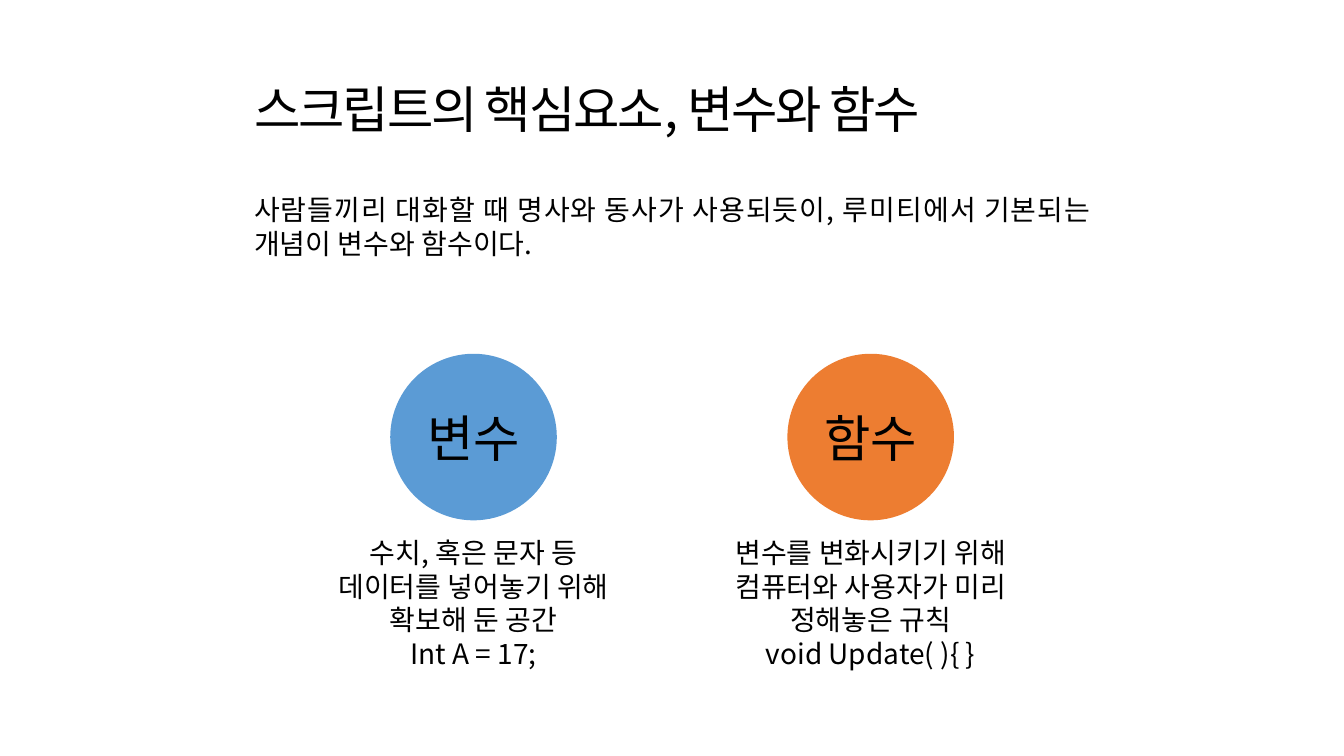
from dataclasses import dataclass

from lxml.etree import SubElement
from pptx import Presentation
from pptx.dml.color import RGBColor as RGB
from pptx.enum.shapes import MSO_SHAPE as Shape
from pptx.enum.text import MSO_ANCHOR as Anchor, PP_ALIGN as Align
from pptx.oxml.ns import qn
from pptx.util import Pt


@dataclass(frozen=True)
class Theme:
    font: str = "Noto Sans CJK KR"
    ink: RGB = RGB(0x00, 0x00, 0x00)
    blue: RGB = RGB(0x5B, 0x9B, 0xD5)
    orange: RGB = RGB(0xED, 0x7D, 0x31)
    heading: int = 36
    body: int = 20


THEME = Theme()


def write(tf, *lines, size=THEME.body, align=Align.LEFT, anchor=Anchor.TOP,
          leading=None, tracking=None, top=5):
    """Fill a text frame with one paragraph per line."""
    tf.word_wrap = True
    tf.vertical_anchor = anchor
    tf.margin_left = tf.margin_right = Pt(7.2)
    tf.margin_top, tf.margin_bottom = Pt(top), Pt(3.6)
    for i, line in enumerate(lines):
        p = tf.add_paragraph() if i else tf.paragraphs[0]
        p.alignment = align
        if leading:
            p.line_spacing = Pt(leading)
        r = p.add_run()
        r.text = line
        r.font.size, r.font.name = Pt(size), THEME.font
        r.font.color.rgb = THEME.ink
        rPr = r.font._element
        SubElement(rPr, qn("a:ea")).set("typeface", THEME.font)
        if tracking:
            rPr.set("spc", str(int(tracking * 100)))


def add_heading(s, x, y, w, h, text):
    title = s.shapes.title
    title.left, title.top, title.width, title.height = map(Pt, (x, y, w, h))
    write(title.text_frame, text, size=THEME.heading, leading=44,
          tracking=-1.5, top=6)


def add_text(s, x, y, w, h, *lines, align):
    box = s.shapes.add_textbox(Pt(x), Pt(y), Pt(w), Pt(h))
    write(box.text_frame, *lines, align=align, leading=24)


def add_concept(s, x, y, w, h, name, fill, lines):
    """A named circle centred above its explanation."""
    size, gap = 119, 6
    sp = s.shapes.add_shape(Shape.OVAL, Pt(x + (w - size) / 2), Pt(y),
                            Pt(size), Pt(size))
    sp.shadow.inherit = False
    sp.fill.solid()
    sp.fill.fore_color.rgb = fill
    sp.line.fill.background()
    write(sp.text_frame, name, size=THEME.heading, align=Align.CENTER,
          anchor=Anchor.MIDDLE, top=3.6)
    below = size + gap
    add_text(s, x, y + below, w, h - below, *lines, align=Align.CENTER)


def main():
    prs = Presentation()
    prs.slide_width, prs.slide_height = Pt(960), Pt(540)
    s = prs.slides.add_slide(prs.slide_layouts[5])

    # Heading and introduction
    left, width = 174.5, 611.5
    add_heading(s, left, 49, width, 51, "스크립트의 핵심요소, 변수와 함수")
    add_text(s, left, 132.5, width, 55.5,
             "사람들끼리 대화할 때 명사와 동사가 사용되듯이, "
             "루미티에서 기본되는 개념이 변수와 함수이다.",
             align=Align.JUSTIFY)

    # Two concepts side by side
    concepts = [
        ("변수", THEME.blue, ["수치, 혹은 문자 등",
                            "데이터를 넣어놓기 위해 확보해 둔 공간",
                            "Int A = 17;"]),
        ("함수", THEME.orange, ["변수를 변화시키기 위해",
                              "컴퓨터와 사용자가 미리 정해놓은 규칙",
                              "void Update( ){ }"]),
    ]
    for i, (name, fill, lines) in enumerate(concepts):
        add_concept(s, 231 + i * 283.7, 252.7, 214.5, 240, name, fill, lines)

    prs.save("out.pptx")


if __name__ == "__main__":
    main()
